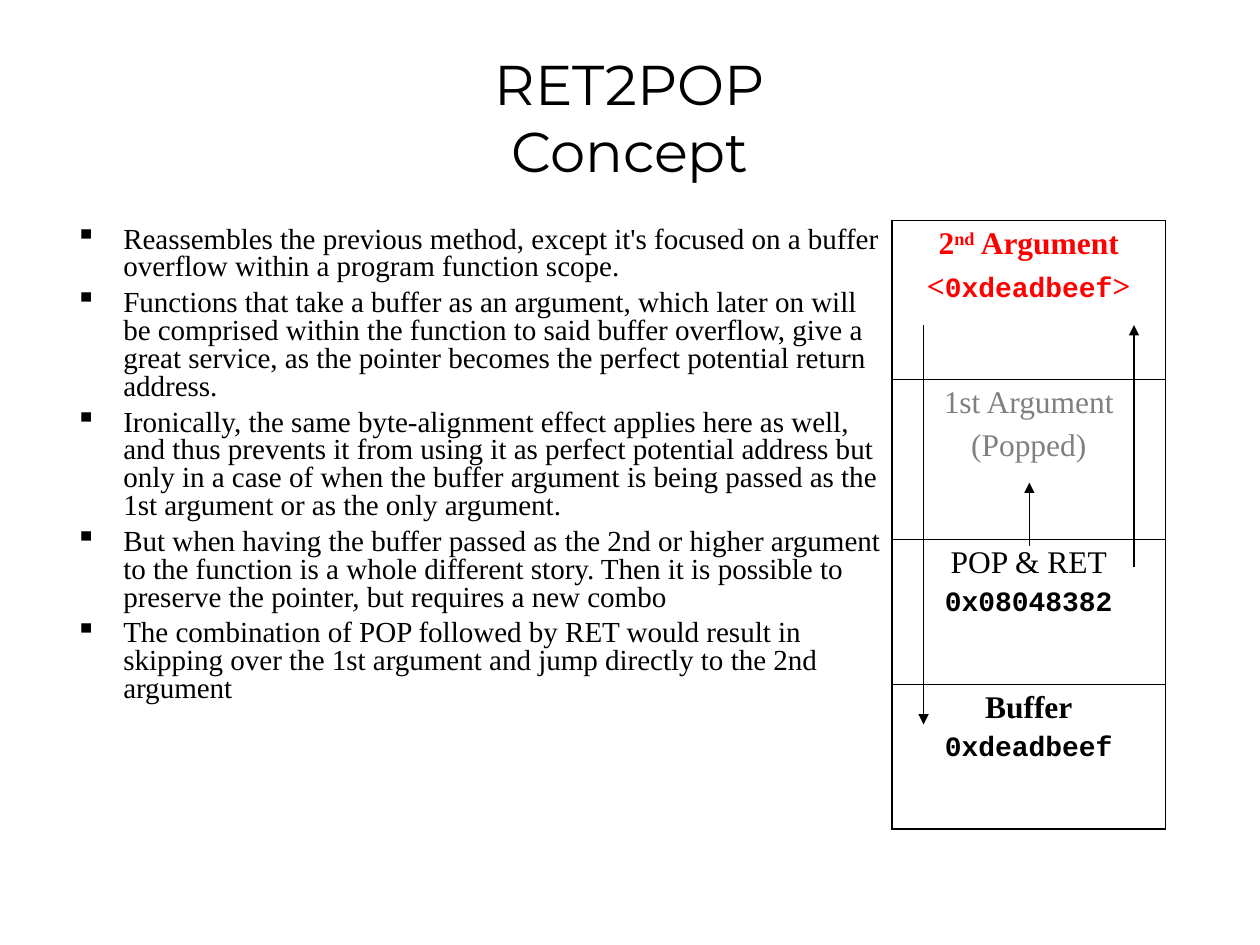
from lxml.etree import SubElement as Sub
from pptx import Presentation
from pptx.dml.color import RGBColor as RGB
from pptx.enum.shapes import MSO_CONNECTOR as Line
from pptx.enum.text import MSO_ANCHOR as Anchor, PP_ALIGN as Align
from pptx.oxml.ns import qn
from pptx.util import Inches, Pt


class Theme:
    black, red, gray = (RGB.from_string(c) for c in ("000000", "FF0000", "808080"))
    head = {"name": "Montserrat", "size": Pt(32)}
    body = {"name": "Times New Roman", "size": Pt(16.6)}
    label = {"name": "Times New Roman", "size": Pt(18)}
    code = {"name": "Courier New", "size": Pt(16), "bold": True}
    thin, thick, arrow = Pt(0.45), Pt(1.08), Pt(0.75)
    gap = Pt(4.5)


BOLD = {**Theme.label, "bold": True}
POINTS = [
    "Reassembles the previous method, except it's focused on a buffer overflow "
    "within a program function scope.",
    "Functions that take a buffer as an argument, which later on will be comprised "
    "within the function to said buffer overflow, give a great service, as the "
    "pointer becomes the perfect potential return address.",
    "Ironically, the same byte-alignment effect applies here as well, and thus "
    "prevents it from using it as perfect potential address but only in a case of "
    "when the buffer argument is being passed as the 1st argument or as the only "
    "argument.",
    "But when having the buffer passed as the 2nd or higher argument to the function "
    "is a whole different story. Then it is possible to preserve the pointer, but "
    "requires a new combo",
    "The combination of POP followed by RET would result in skipping over the 1st "
    "argument and jump directly to the 2nd argument",
]
# Each stack row: height, colour, lines of (text, format, raised)
STACK = [
    (1.26, Theme.red, [
        [("2", BOLD, False), ("nd", BOLD, True), (" Argument", BOLD, False)],
        [("<", BOLD, False), ("0xdeadbeef", Theme.code, False), (">", BOLD, False)]]),
    (1.27, Theme.gray, [
        [("1st Argument", Theme.label, False)], [("(Popped)", Theme.label, False)]]),
    (1.15, Theme.black, [
        [("POP & RET", Theme.label, False)], [("0x08048382", Theme.code, False)]]),
    (1.15, Theme.black, [
        [("Buffer", BOLD, False)], [("0xdeadbeef", Theme.code, False)]]),
]
# Arrow ends: x, start y, end y
ARROWS = [(9, 4.5, 2.58), (8.17, 4.33, 3.83), (7.33, 2.58, 5.75)]


def style(item, form):
    for key, val in form.items():
        setattr(item, key, val)


def add_run(para, text, form, color=Theme.black):
    run = para.add_run()
    run.text = text
    style(run.font, form)
    run.font.color.rgb = color
    return run


def next_para(frame, index):
    para = frame.add_paragraph() if index else frame.paragraphs[0]
    if index:
        para.space_before = Theme.gap
    return para


def add_box(slide, box, anchor):
    frame = slide.shapes.add_textbox(*map(Inches, box)).text_frame
    style(frame, {"word_wrap": True, "vertical_anchor": anchor})
    return frame


def add_title(slide, box, lines):
    para = add_box(slide, box, Anchor.MIDDLE).paragraphs[0]
    para.alignment = Align.CENTER
    for i, text in enumerate(lines):
        if i:
            para.add_line_break()
        add_run(para, text, Theme.head)


def add_points(slide, box, points):
    frame = add_box(slide, box, Anchor.TOP)
    for i, text in enumerate(points):
        para = next_para(frame, i)
        props = para._p.get_or_add_pPr()
        props.set("marL", str(Inches(0.38)))
        props.set("indent", str(-Inches(0.38)))
        Sub(props, qn("a:buChar"), char="▪")
        para.line_spacing = 0.8
        add_run(para, text, Theme.body)


def set_border(cell, widths):
    props = cell._tc.get_or_add_tcPr()
    for i, (side, width) in enumerate(widths.items()):
        line = Sub(props, qn(f"a:ln{side}"), w=str(width))
        fill = Sub(line, qn("a:solidFill"))
        Sub(fill, qn("a:srgbClr"), val=str(Theme.black))
        props.insert(i, line)


def add_stack(slide, box, rows):
    table = slide.shapes.add_table(len(rows), 1, *map(Inches, box)).table
    style(table, {"first_row": False, "horz_banding": False})
    last = len(rows) - 1
    for i, (height, color, lines) in enumerate(rows):
        table.rows[i].height = Inches(height)
        cell = table.cell(i, 0)
        cell.fill.background()
        set_border(cell, {"L": Theme.thick, "R": Theme.thick,
                          "T": Theme.thin if i else Theme.thick,
                          "B": Theme.thin if i < last else Theme.thick})
        for j, parts in enumerate(lines):
            para = next_para(cell.text_frame, j)
            para.alignment = Align.CENTER
            for text, form, raised in parts:
                run = add_run(para, text, form, color)
                if raised:
                    run.font._element.set("baseline", "30000")


def add_arrow(slide, x, start, end):
    ends = map(Inches, (x, start, x, end))
    arrow = slide.shapes.add_connector(Line.STRAIGHT, *ends)
    arrow.line.color.rgb = Theme.black
    arrow.line.width = Theme.arrow
    Sub(arrow.line._get_or_add_ln(), qn("a:tailEnd"), type="triangle")
    Sub(arrow._element.spPr, qn("a:effectLst"))


def main():
    deck = Presentation()
    style(deck, {"slide_width": Inches(10), "slide_height": Inches(7.5)})
    slide = deck.slides.add_slide(deck.slide_layouts[6])
    # Heading and explanation
    add_title(slide, (0.5, 0.3, 9, 1.25), ["RET2POP", "Concept"])
    add_points(slide, (0.5, 1.75, 6.58, 4.95), POINTS)
    # Memory stack with its jumps
    add_stack(slide, (7.08, 1.75, 2.17, 4.83), STACK)
    for ends in ARROWS:
        add_arrow(slide, *ends)
    deck.save("out.pptx")


if __name__ == "__main__":
    main()
